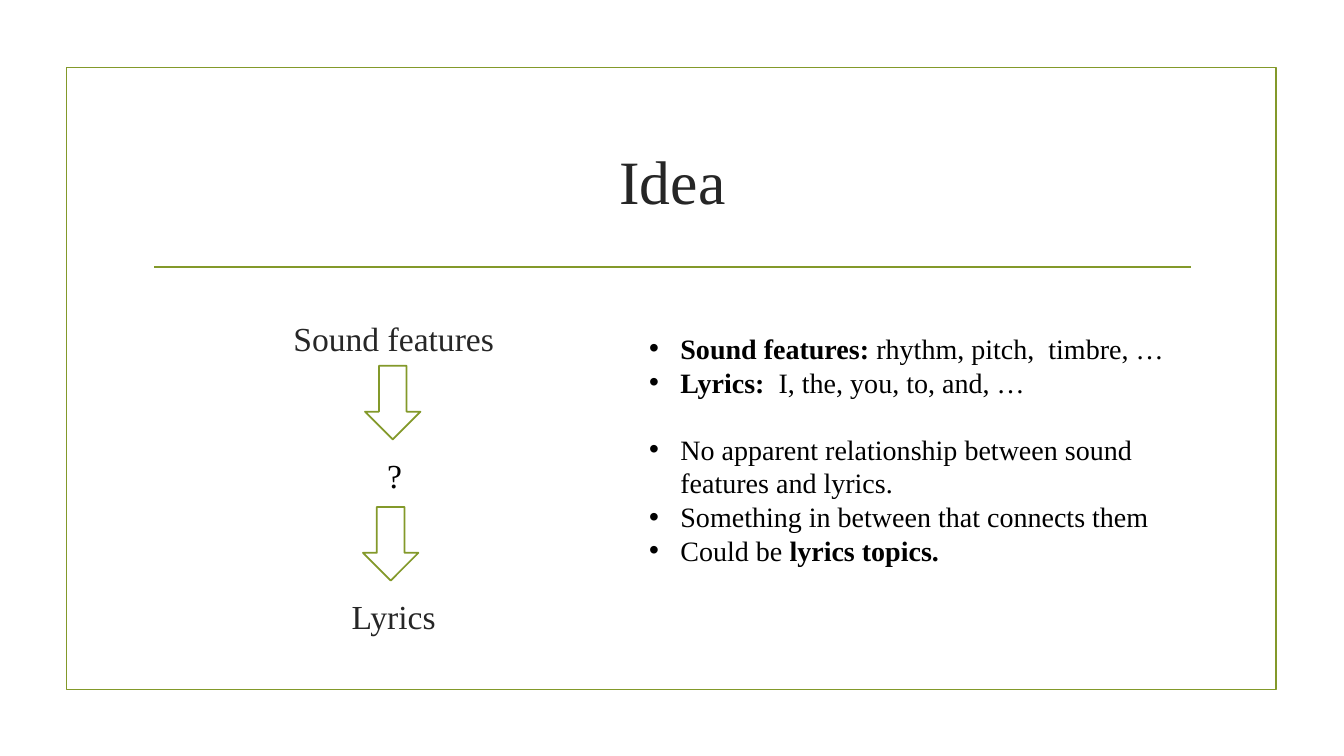
from lxml.etree import SubElement
from pptx import Presentation
from pptx.dml.color import RGBColor
from pptx.enum.shapes import MSO_CONNECTOR as Line, MSO_SHAPE as Shape
from pptx.enum.text import MSO_ANCHOR as Anchor, PP_ALIGN as Align
from pptx.oxml.ns import qn
from pptx.util import Inches, Pt

FONT = "Times New Roman"
GREEN, DARK, BLACK, WHITE = "83992A", "262626", "000000", "FFFFFF"


def color(code):
    return RGBColor.from_string(code)


def add_run(para, text, size, code, bold=False):
    run = para.add_run()
    run.text = text
    run.font.name = FONT
    run.font.size = Pt(size)
    run.font.bold = bold
    run.font.color.rgb = color(code)


def set_line(item):
    item.line.color.rgb = color(GREEN)
    item.line.width = Pt(1.25)


def add_shape(slide, kind, x, y, w, h, fill=None):
    shape = slide.shapes.add_shape(kind, Inches(x), Inches(y), Inches(w), Inches(h))
    shape.shadow.inherit = False
    if fill:
        shape.fill.solid()
        shape.fill.fore_color.rgb = color(fill)
    else:
        shape.fill.background()
    set_line(shape)
    return shape


def add_rule(slide, x1, x2, y):
    rule = slide.shapes.add_connector(
        Line.STRAIGHT, Inches(x1), Inches(y), Inches(x2), Inches(y))
    set_line(rule)
    SubElement(rule._element.spPr, qn("a:effectLst"))


def add_arrow(slide, x, y):
    arrow = add_shape(slide, Shape.RIGHT_ARROW, x, y, 0.73, 0.55, WHITE)
    arrow.rotation = 90


def add_box(slide, x, y, w, h, wrap=True):
    box = slide.shapes.add_textbox(Inches(x), Inches(y), Inches(w), Inches(h))
    box.text_frame.word_wrap = wrap
    return box.text_frame


def add_label(slide, text, y):
    para = add_box(slide, 2.59, y, 2.63, 0.53).paragraphs[0]
    para.alignment = Align.CENTER
    para.space_before = Pt(4.8)
    para.space_after = Pt(6)
    add_run(para, text, 24, DARK)


def set_bullet(para):
    props = para._p.get_or_add_pPr()
    props.set("marL", str(Inches(0.31)))
    props.set("indent", str(Inches(-0.31)))
    SubElement(props, qn("a:buFont"), typeface="Arial")
    SubElement(props, qn("a:buChar"), char="•")


def add_list(slide, items):
    """Each item is a gap above in points and its (text, bold) runs."""
    frame = add_box(slide, 6.34, 3.24, 5.58, 2.46)
    for i, (gap, runs) in enumerate(items):
        para = frame.add_paragraph() if i else frame.paragraphs[0]
        para.line_spacing = Pt(24)
        para.space_before = Pt(gap)
        set_bullet(para)
        for text, bold in runs:
            add_run(para, text, 20, BLACK, bold)


def set_title(slide, text):
    title = slide.shapes.title
    title.left, title.top = Inches(1.42), Inches(1.07)
    title.width, title.height = Inches(10.5), Inches(1.43)
    title.text_frame.vertical_anchor = Anchor.MIDDLE
    para = title.text_frame.paragraphs[0]
    para.alignment = Align.CENTER
    add_run(para, text, 44, DARK)


def main():
    deck = Presentation()
    deck.slide_width, deck.slide_height = Inches(13.33), Inches(7.5)
    slide = deck.slides.add_slide(deck.slide_layouts[5])

    add_shape(slide, Shape.RECTANGLE, 0.66, 0.67, 12, 6.17)
    add_rule(slide, 1.53, 11.81, 2.65)
    set_title(slide, "Idea")

    add_label(slide, "Sound features", 3.1)
    add_arrow(slide, 3.53, 3.72)
    mark = add_box(slide, 3.74, 4.46, 0.32, 0.5, wrap=False)
    add_run(mark.paragraphs[0], "?", 24, BLACK)
    add_arrow(slide, 3.51, 5.12)
    add_label(slide, "Lyrics", 5.86)

    add_list(slide, [
        (0, [("Sound features: ", True), ("rhythm, pitch,  timbre, …", False)]),
        (0, [("Lyrics:  ", True), ("I, the, you, to, and, …", False)]),
        (24, [("No apparent relationship between sound features and lyrics.", False)]),
        (0, [("Something in between that connects them", False)]),
        (0, [("Could be ", False), ("lyrics topics.", True)]),
    ])
    deck.save("out.pptx")


if __name__ == "__main__":
    main()
